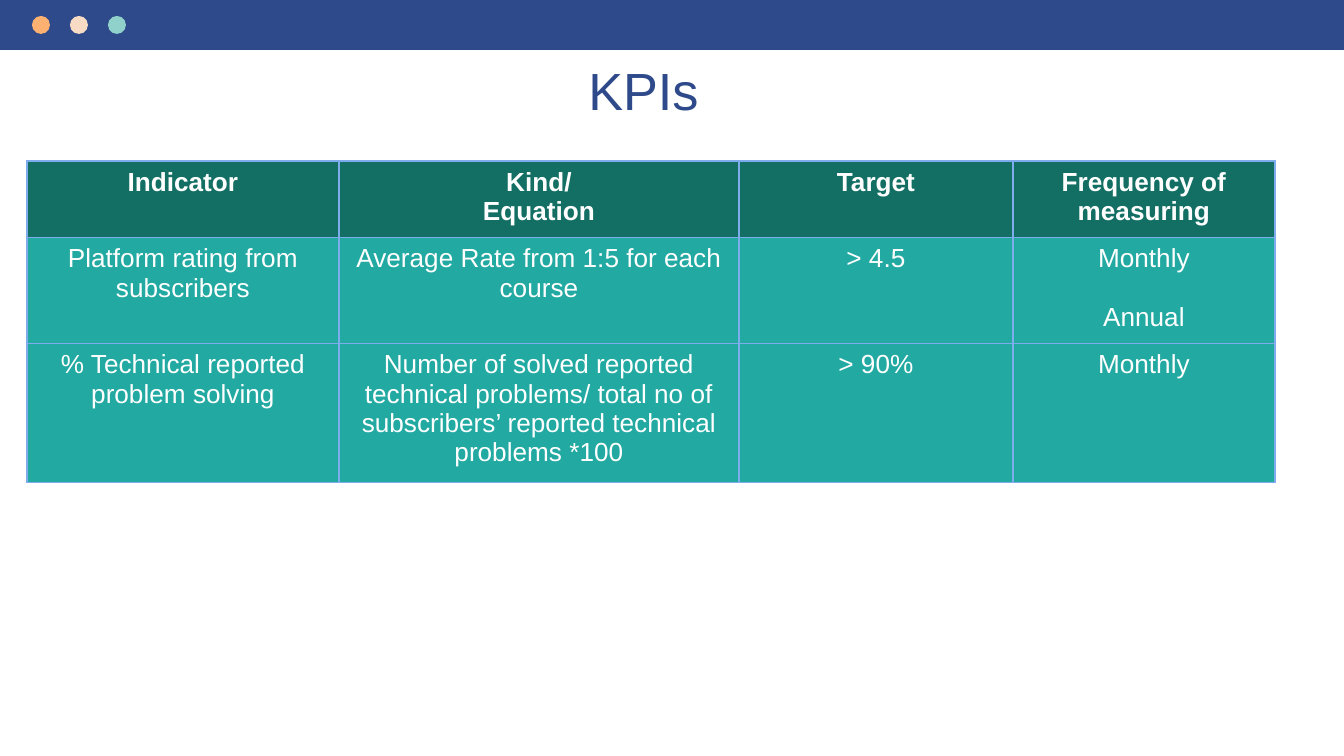
from lxml.etree import SubElement
from pptx import Presentation
from pptx.dml.color import RGBColor
from pptx.enum.shapes import MSO_SHAPE as Shape
from pptx.enum.text import MSO_ANCHOR as Anchor, PP_ALIGN as Align
from pptx.oxml.ns import qn
from pptx.util import Pt

PX = 914400 / 134.4
SLIDE_W, SLIDE_H = 1344, 756
FONT = "Arial"

NAVY = RGBColor(0x2F, 0x4A, 0x8A)
ORANGE = RGBColor(0xFF, 0xB1, 0x72)
CREAM = RGBColor(0xF8, 0xDB, 0xC4)
MINT = RGBColor(0x90, 0xD1, 0xCB)
DARK_TEAL = RGBColor(0x13, 0x6F, 0x64)
TEAL = RGBColor(0x22, 0xA9, 0xA2)
SKY = RGBColor(0x7E, 0xAC, 0xEC)
WHITE = RGBColor(0xFF, 0xFF, 0xFF)

COLUMN_WIDTHS = [312, 400, 274, 262]
# Minimum heights: the body rows grow to fit their text
ROW_HEIGHTS = [73, 82, 67]
KPI_ROWS = [
    ["Indicator", "Kind/\nEquation", "Target", "Frequency of measuring"],
    ["Platform rating from subscribers",
     "Average Rate from 1:5 for each course", "> 4.5", "Monthly\nAnnual"],
    ["% Technical reported problem solving",
     "Number of solved reported technical problems/ total no of "
     "subscribers’ reported technical problems *100", "> 90%", "Monthly"],
]


def px(length):
    return round(length * PX)


def write(frame, text, size=14, color=WHITE, bold=False, gap=0):
    """Fill a text frame with one centred paragraph per line of text."""
    frame.word_wrap = True
    for i, line in enumerate(text.split("\n")):
        paragraph = frame.add_paragraph() if i else frame.paragraphs[0]
        paragraph.alignment = Align.CENTER
        if i and gap:
            paragraph.space_before = Pt(gap)
        run = paragraph.add_run()
        run.text = line
        run.font.name = FONT
        run.font.size = Pt(size)
        run.font.bold = bold
        run.font.color.rgb = color


def add_plain(slide, kind, left, top, width, height, color):
    plain = slide.shapes.add_shape(kind, px(left), px(top), px(width), px(height))
    plain.shadow.inherit = False
    plain.fill.solid()
    plain.fill.fore_color.rgb = color
    plain.line.fill.background()


def outline_cell(cell, color, width):
    properties = cell._tc.get_or_add_tcPr()
    for i, side in enumerate(("a:lnL", "a:lnR", "a:lnT", "a:lnB")):
        edge = properties.makeelement(qn(side), {"w": str(Pt(width))})
        fill = SubElement(edge, qn("a:solidFill"))
        SubElement(fill, qn("a:srgbClr"), val=str(color))
        properties.insert(i, edge)


def add_top_bar(slide, left, top, width, height):
    add_plain(slide, Shape.RECTANGLE, left, top, width, height, NAVY)
    dot, first, pitch = 18, 32, 38
    for i, color in enumerate((ORANGE, CREAM, MINT)):
        add_plain(slide, Shape.OVAL, left + first + i * pitch,
                  top + (height - dot) / 2, dot, dot, color)


def add_title(slide, left, top, width, height):
    title = slide.shapes.add_textbox(px(left), px(top), px(width), px(height))
    frame = title.text_frame
    frame.margin_top = px(14)
    frame.margin_bottom = 0
    frame.vertical_anchor = Anchor.TOP
    write(frame, "KPIs", size=28, color=NAVY)


def add_kpi_table(slide, left, top):
    table = slide.shapes.add_table(
        len(KPI_ROWS), len(COLUMN_WIDTHS), px(left), px(top),
        px(sum(COLUMN_WIDTHS)), px(sum(ROW_HEIGHTS))).table
    for column, width in zip(table.columns, COLUMN_WIDTHS):
        column.width = px(width)
    for r, (row, height) in enumerate(zip(table.rows, ROW_HEIGHTS)):
        row.height = px(height)
        header = r == 0
        for cell, text in zip(row.cells, KPI_ROWS[r]):
            cell.fill.solid()
            cell.fill.fore_color.rgb = DARK_TEAL if header else TEAL
            outline_cell(cell, SKY, 0.75)
            # Measuring frequencies stand one line apart
            write(cell.text_frame, text, bold=header, gap=0 if header else 16)


def main():
    deck = Presentation()
    deck.slide_width, deck.slide_height = px(SLIDE_W), px(SLIDE_H)
    slide = deck.slides.add_slide(deck.slide_layouts[6])
    add_top_bar(slide, 0, 0, SLIDE_W, 50)
    add_title(slide, 497, 44, 293, 69)
    add_kpi_table(slide, 27, 161)
    deck.save("out.pptx")


if __name__ == "__main__":
    main()
